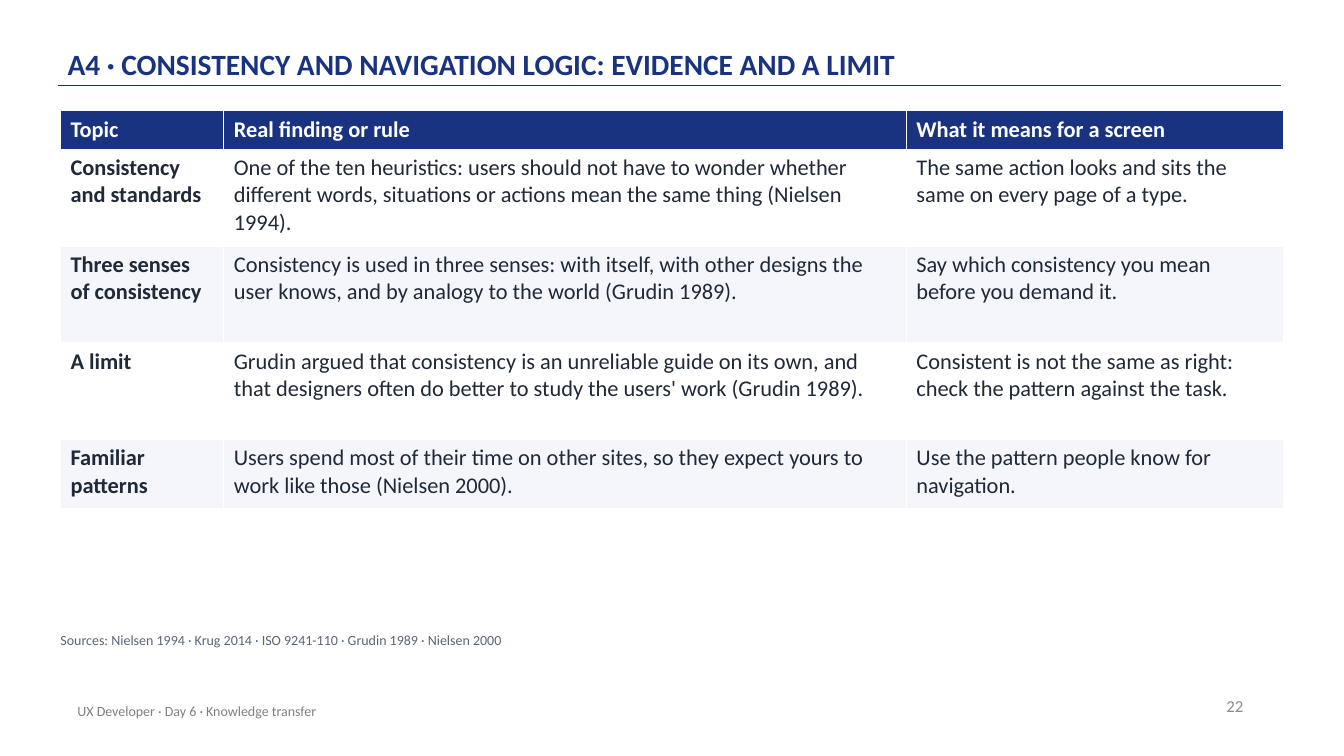
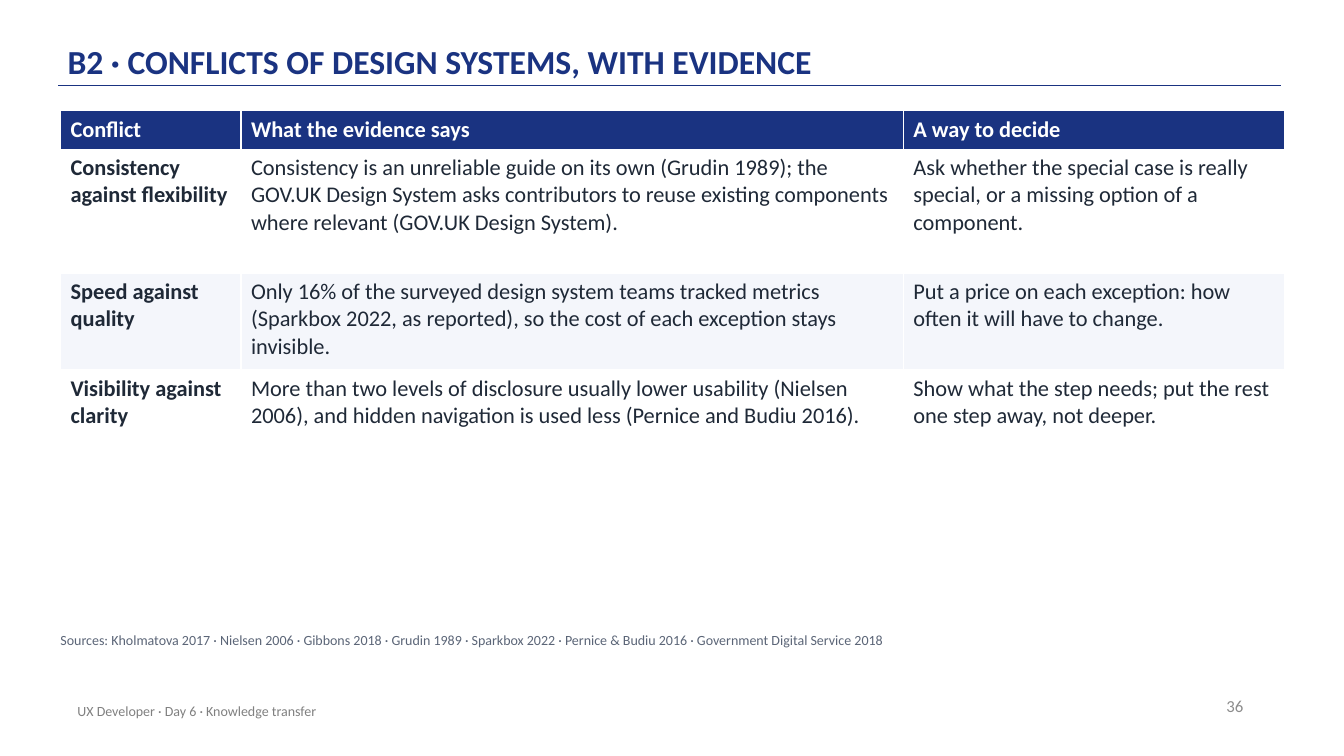
from pptx import Presentation
from pptx import util as u
from pptx.dml.color import RGBColor
from pptx.enum import shapes, text
from pptx.oxml.ns import qn
from lxml import etree

PX = 9144  # 100 px to the inch
FONT = "Calibri"
NAVY = RGBColor(0x1A, 0x33, 0x81)
INK = RGBColor(0x1F, 0x29, 0x37)
SLATE = RGBColor(0x5B, 0x65, 0x77)
FOOTER_GRAY = RGBColor(0x80, 0x80, 0x80)
NUMBER_GRAY = RGBColor(0x8C, 0x8C, 0x8C)
WHITE = RGBColor(0xFF, 0xFF, 0xFF)
BAND = RGBColor(0xF4, 0xF6, 0xFB)

FOOTER = "UX Developer · Day 6 · Knowledge transfer"

PAGES = [
    {
        "title": "A4 · CONSISTENCY AND NAVIGATION LOGIC: EVIDENCE AND A LIMIT",
        "title_size": 21,
        "number": 22,
        "columns": [162, 677, 374],
        "heights": [38, 96, 96, 96, 69],
        "rows": [
            ["Topic", "Real finding or rule", "What it means for a screen"],
            ["Consistency and standards",
             "One of the ten heuristics: users should not have to wonder whether different "
             "words, situations or actions mean the same thing (Nielsen 1994).",
             "The same action looks and sits the same on every page of a type."],
            ["Three senses of consistency",
             "Consistency is used in three senses: with itself, with other designs the user "
             "knows, and by analogy to the world (Grudin 1989).",
             "Say which consistency you mean before you demand it."],
            ["A limit",
             "Grudin argued that consistency is an unreliable guide on its own, and that "
             "designers often do better to study the users' work (Grudin 1989).",
             "Consistent is not the same as right: check the pattern against the task."],
            ["Familiar patterns",
             "Users spend most of their time on other sites, so they expect yours to work "
             "like those (Nielsen 2000).",
             "Use the pattern people know for navigation."],
        ],
        "sources": "Sources: Nielsen 1994 · Krug 2014 · ISO 9241-110 · Grudin 1989 · Nielsen 2000",
    },
    {
        "title": "B2 · CONFLICTS OF DESIGN SYSTEMS, WITH EVIDENCE",
        "title_size": 24,
        "number": 36,
        "columns": [179, 657, 378],
        "heights": [38, 123, 96, 96],
        "rows": [
            ["Conflict", "What the evidence says", "A way to decide"],
            ["Consistency against flexibility",
             "Consistency is an unreliable guide on its own (Grudin 1989); the GOV.UK Design "
             "System asks contributors to reuse existing components where relevant "
             "(GOV.UK Design System).",
             "Ask whether the special case is really special, or a missing option of a component."],
            ["Speed against quality",
             "Only 16% of the surveyed design system teams tracked metrics (Sparkbox 2022, as "
             "reported), so the cost of each exception stays invisible.",
             "Put a price on each exception: how often it will have to change."],
            ["Visibility against clarity",
             "More than two levels of disclosure usually lower usability (Nielsen 2006), and "
             "hidden navigation is used less (Pernice and Budiu 2016).",
             "Show what the step needs; put the rest one step away, not deeper."],
        ],
        "sources": "Sources: Kholmatova 2017 · Nielsen 2006 · Gibbons 2018 · Grudin 1989 · "
                   "Sparkbox 2022 · Pernice & Budiu 2016 · Government Digital Service 2018",
    },
]


def px(*lengths):
    return [u.Emu(length * PX) for length in lengths]


def style(para, size, color, bold=False):
    for span in para.runs:
        span.font.name = FONT
        span.font.size = u.Pt(size)
        span.font.color.rgb = color
        span.font.bold = bold


def add_text(page, place, words, size, color, bold=False,
             anchor=text.MSO_ANCHOR.MIDDLE, insets=(10, 5)):
    """Add a one-paragraph text box; insets are (sides, top and bottom)."""
    frame = page.shapes.add_textbox(*px(*place)).text_frame
    frame.word_wrap = True
    frame.vertical_anchor = anchor
    frame.margin_left = frame.margin_right = insets[0] * PX
    frame.margin_top = frame.margin_bottom = insets[1] * PX
    frame.text = words
    para = frame.paragraphs[0]
    style(para, size, color, bold)
    return para


def add_rule(page):
    rule = page.shapes.add_connector(shapes.MSO_CONNECTOR.STRAIGHT, *px(58, 85, 1271, 85))
    rule.line.color.rgb = NAVY
    rule.line.width = u.Pt(1)
    etree.SubElement(rule._element.spPr, qn("a:effectLst"))


def add_frame(page, title, title_size, number):
    """Title, rule, page number and footer shared by all slides."""
    add_rule(page)
    heading = add_text(page, (67, 12, 1100, 72), title, title_size, NAVY, True,
                       text.MSO_ANCHOR.BOTTOM, (0, 3))
    heading.line_spacing = 0.9
    page_number = add_text(page, (943, 680, 300, 40), str(number), 12, NUMBER_GRAY)
    page_number.alignment = text.PP_ALIGN.RIGHT
    add_text(page, (67, 685, 670, 40), FOOTER, 10, FOOTER_GRAY)


def add_evidence_table(page, columns, heights, rows):
    """Navy header, bold first column and every second body row tinted."""
    place = px(60, 110, sum(columns), sum(heights))
    table = page.shapes.add_table(len(rows), len(columns), *place).table
    table.horz_banding = False
    for column, width in zip(table.columns, columns):
        column.width = u.Emu(width * PX)
    for r, (height, words) in enumerate(zip(heights, rows)):
        table.rows[r].height = u.Emu(height * PX)
        header = r == 0
        fill = NAVY if header else (WHITE if r % 2 else BAND)
        for c, content in enumerate(words):
            cell = table.cell(r, c)
            cell.fill.solid()
            cell.fill.fore_color.rgb = fill
            cell.text = content
            style(cell.text_frame.paragraphs[0], 16, WHITE if header else INK,
                  header or c == 0)


def add_sources(page, words):
    para = add_text(page, (60, 627, 1210, 30), words, 10, SLATE,
                    anchor=text.MSO_ANCHOR.TOP, insets=(0, 0))
    para.space_after = u.Pt(6)


def main():
    deck = Presentation()
    deck.slide_width, deck.slide_height = px(1333, 750)
    for content in PAGES:
        page = deck.slides.add_slide(deck.slide_layouts[6])
        add_frame(page, content["title"], content["title_size"], content["number"])
        add_evidence_table(page, content["columns"], content["heights"], content["rows"])
        add_sources(page, content["sources"])
    deck.save("out.pptx")


if __name__ == "__main__":
    main()
